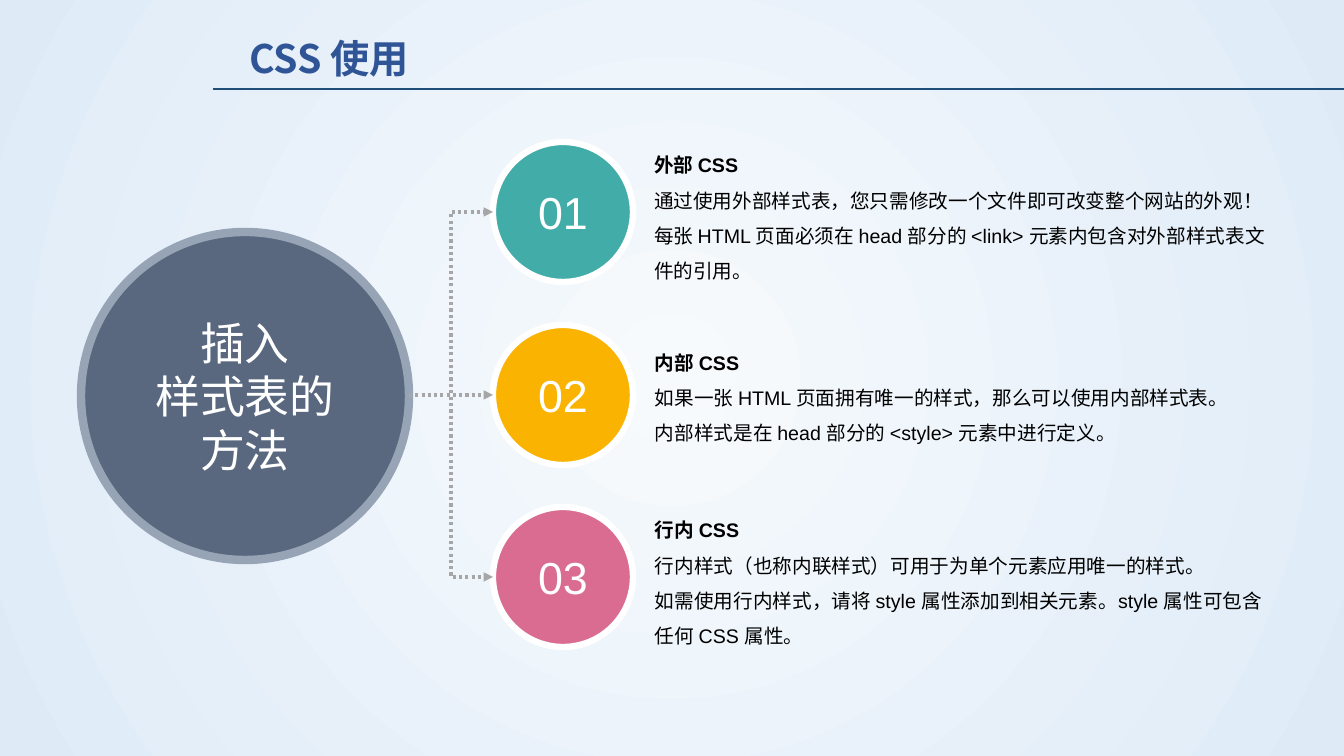
from pptx import Presentation, util as u
from pptx.dml.color import RGBColor
from pptx.enum import dml, shapes, text
from pptx.oxml import parse_xml, ns
from pptx.oxml.ns import qn

PX = 914400 / 100.8
HUES = {"core": "F7FAFD", "edge": "DEEBF7", "rule": "1F4E79", "title": "2F5597",
        "hub": "59687F", "ring": "97A4B6", "link": "A6A6A6", "white": "FFFFFF",
        "ink": "000000", "teal": "42ACA8", "amber": "FAB301", "rose": "DA6C91"}
HAN = "Noto Sans CJK SC"
TITLE = {"name": HAN, "size": u.Pt(28), "bold": True}
DISC = {"name": "Arial", "size": u.Pt(32)}
HEAD = {"name": "Arial", "size": u.Pt(14), "bold": True}
BODY = {**HEAD, "bold": False}
MID = {"word_wrap": True, "auto_size": text.MSO_AUTO_SIZE.NONE,
       "vertical_anchor": text.MSO_ANCHOR.MIDDLE}
FLUSH = {**MID, "margin_left": 0, "margin_right": 0}
LEFT = {"alignment": text.PP_ALIGN.LEFT}
CENTER = {"alignment": text.PP_ALIGN.CENTER}
LOOSE = {**LEFT, "line_spacing": 1.5}
ROWS = [
    ("teal", -1, 10, ["外部 CSS",
                      "通过使用外部样式表，您只需修改一个文件即可改变整个网站的外观！",
                      "每张 HTML 页面必须在 head 部分的 <link> 元素内包含对外部样式表文件的引用。"]),
    ("amber", 0, 7, ["内部 CSS",
                     "如果一张 HTML 页面拥有唯一的样式，那么可以使用内部样式表。",
                     "内部样式是在 head 部分的 <style> 元素中进行定义。"]),
    ("rose", 0, 10, ["行内 CSS",
                     "行内样式（也称内联样式）可用于为单个元素应用唯一的样式。",
                     "如需使用行内样式，请将 style 属性添加到相关元素。style 属性可包含任何 CSS 属性。"]),
]


def emu(*vals):
    """Turn pixels into EMU."""
    return [u.Emu(round(v * PX)) for v in vals]


def rgb(key):
    """Look up a colour."""
    return RGBColor.from_string(HUES[key])


def apply(obj, look):
    """Set each attribute named in a dict."""
    for key, val in look.items():
        setattr(obj, key, val)


def node(tag, attrs="", inner=""):
    """Make one drawing element."""
    return parse_xml(f'<a:{tag} {ns.nsdecls("a")} {attrs}>{inner}</a:{tag}>')


def write(frame, lines, fit, para, hue):
    """Fill a text frame from pairs of wording and font look."""
    apply(frame, fit)
    for i, (words, look) in enumerate(lines):
        p = frame.add_paragraph() if i else frame.paragraphs[0]
        apply(p, para)
        run = p.add_run()
        run.text = words
        apply(run.font, look)
        run.font.color.rgb = rgb(hue)
        run.font._element.find(qn("a:latin")).addnext(node("ea", f'typeface="{HAN}"'))


def stroke(line, hue, width):
    """Colour and size a line."""
    line.color.rgb = rgb(hue)
    line.width = u.Pt(width)


def wire(slide, kind, ends, hue, width):
    """Draw a flat connector."""
    link = slide.shapes.add_connector(kind, *emu(*ends))
    stroke(link.line, hue, width)
    link._element.spPr.append(node("effectLst"))
    return link


def backdrop(slide):
    """Paint the radial background."""
    fill = slide.background.fill
    fill.gradient()
    for stop, hue in zip(fill.gradient_stops, ("core", "edge")):
        stop.color.rgb = rgb(hue)
    grad = next(slide.element.iter(qn("a:gradFill")))
    rect = '<a:fillToRect l="50000" t="50000" r="50000" b="50000"/>'
    grad.replace(grad.find(qn("a:lin")), node("path", 'path="circle"', rect))


def header(slide, x, y, w, h):
    """Place the title and its rule."""
    head = slide.shapes.title
    apply(head, dict(zip(("left", "top", "width", "height"), emu(x, y, w, h))))
    write(head.text_frame, [("CSS 使用", TITLE)], MID, LEFT, "title")
    wire(slide, shapes.MSO_CONNECTOR.STRAIGHT, (x - 26, y + 60, 1344, y + 60), "rule", 1.25)


def disc(slide, x, y, size, fill, rim, width, lines):
    """Draw a rimmed circle with centred text."""
    dot = slide.shapes.add_shape(shapes.MSO_SHAPE.OVAL, *emu(x, y, size, size))
    dot.shadow.inherit = False
    dot.fill.solid()
    dot.fill.fore_color.rgb = rgb(fill)
    stroke(dot.line, rim, width)
    write(dot.text_frame, [(words, DISC) for words in lines], MID, CENTER, "white")


def arrow(slide, *ends):
    """Draw a dotted elbow arrow."""
    link = wire(slide, shapes.MSO_CONNECTOR.ELBOW, ends, "link", 2.25)
    link.line.dash_style = dml.MSO_LINE.ROUND_DOT
    link.line._ln.append(node("tailEnd", 'type="triangle"'))


def row(slide, x, y, size, num, hue, dx, dy, lines):
    """Place a numbered disc with its notes."""
    disc(slide, x, y, size, hue, "white", 4.5, [f"{num:02}"])
    box = slide.shapes.add_textbox(*emu(x + 162 + dx, y + dy, 612, 120))
    looks = [HEAD] + [BODY] * (len(lines) - 1)
    write(box.text_frame, list(zip(lines, looks)), FLUSH, LOOSE, "ink")


def tree(slide, x, y, hub, size):
    """Link the hub to its three rows."""
    left = x + hub + 84
    disc(slide, x, y + 90, hub, "hub", "ring", 6, ["插入", "样式表的方法"])
    half = size // 2
    for i, data in enumerate(ROWS):
        top = y + (365 * i + 1) // 2
        row(slide, left, top, size, i + 1, *data)
        arrow(slide, x + hub, y + 183 + half, left, top + half)


def main():
    """Build and save the slide."""
    deck = Presentation()
    deck.slide_width, deck.slide_height = emu(1344, 756)
    slide = deck.slides.add_slide(deck.slide_layouts[5])
    backdrop(slide)
    header(slide, 239, 29, 1062, 58)
    tree(slide, 81, 142, 328, 140)
    deck.save("out.pptx")


main()
